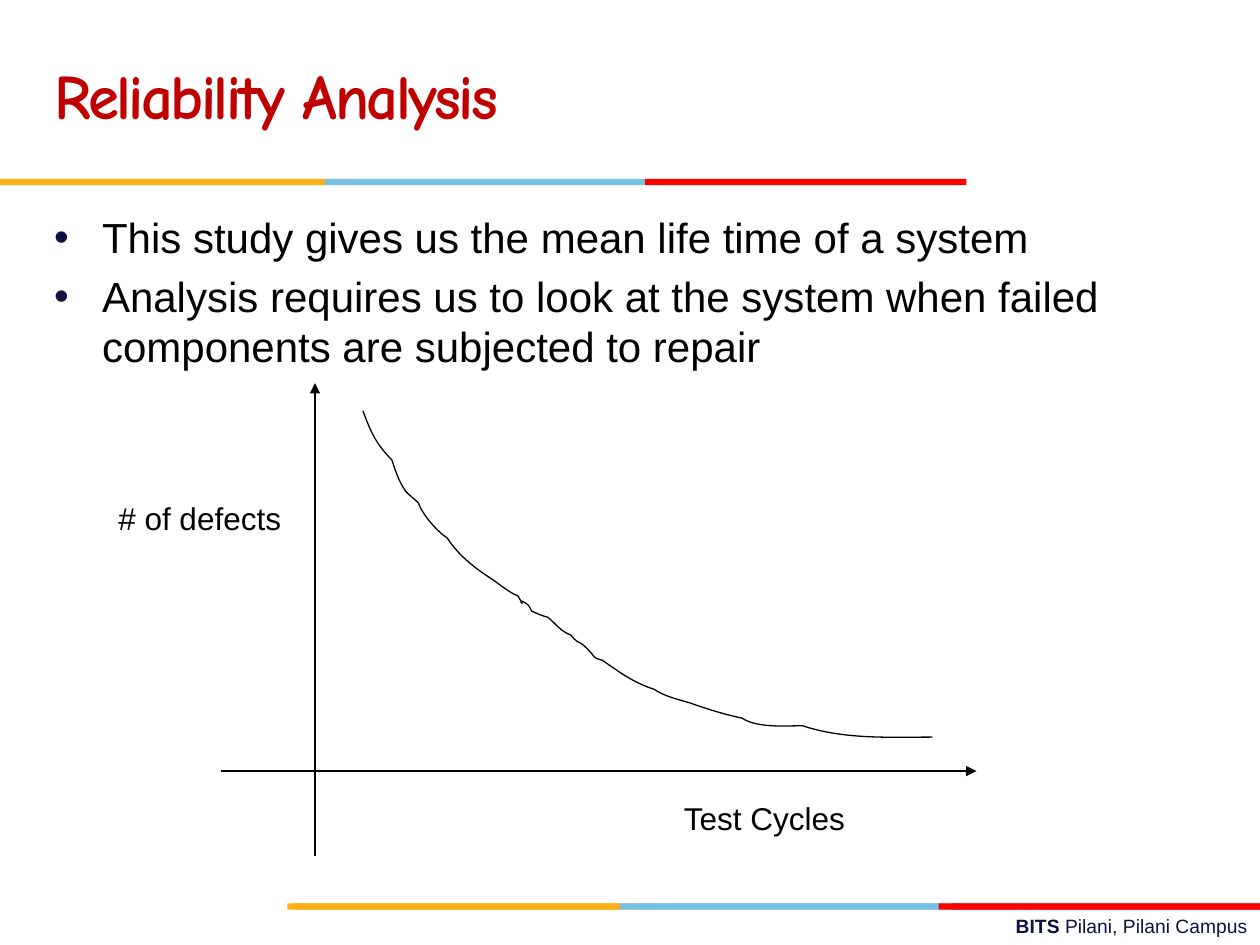
from dataclasses import dataclass

from lxml import etree
from pptx import Presentation
from pptx.dml.color import RGBColor
from pptx.enum.shapes import MSO_CONNECTOR, MSO_SHAPE
from pptx.enum.text import MSO_ANCHOR, MSO_AUTO_SIZE, PP_ALIGN
from pptx.oxml.ns import qn
from pptx.util import Inches, Pt

RECT = MSO_SHAPE.RECTANGLE
LINE = MSO_CONNECTOR.STRAIGHT
LEFT, RIGHT = PP_ALIGN.LEFT, PP_ALIGN.RIGHT
TOP, MIDDLE = MSO_ANCHOR.TOP, MSO_ANCHOR.MIDDLE
FIXED = MSO_AUTO_SIZE.NONE


@dataclass(frozen=True)
class Theme:
    """Colours, fonts and sizes of the slide."""
    black: str = "000000"
    navy: str = "101141"
    title: str = "C00000"
    gold: str = "FCB017"
    sky: str = "76C2E5"
    red: str = "FF0000"
    brick: str = "E31C24"
    face: str = "Arial"
    hand: str = "Comic Neue"
    head: int = 36
    body: int = 24
    label: int = 18
    foot: int = 11
    rule: float = 0.75


THEME = Theme()
TEXT = {"name": THEME.face, "bold": False}

START = (1.13, 0.22)
CURVE = [
    (1.19, 0.38, 1.23, 0.48, 1.36, 0.61), (1.39, 0.7, 1.41, 0.77, 1.47, 0.86),
    (1.5, 0.89, 1.57, 0.95, 1.57, 0.95), (1.6, 1.04, 1.72, 1.18, 1.8, 1.23),
    (1.89, 1.37, 2.02, 1.47, 2.16, 1.56), (2.23, 1.61, 2.29, 1.66, 2.36, 1.69),
    (2.45, 1.83, 2.32, 1.67, 2.44, 1.76), (2.45, 1.77, 2.46, 1.79, 2.47, 1.81),
    (2.51, 1.83, 2.56, 1.85, 2.6, 1.86), (2.67, 1.92, 2.7, 1.97, 2.78, 2),
    (2.8, 2.02, 2.81, 2.04, 2.83, 2.05), (2.85, 2.06, 2.87, 2.07, 2.88, 2.08),
    (3.01, 2.2, 2.93, 2.17, 3.03, 2.2), (3.16, 2.29, 3.28, 2.38, 3.44, 2.43),
    (3.53, 2.49, 3.63, 2.51, 3.73, 2.54), (3.87, 2.59, 4, 2.63, 4.14, 2.66),
    (4.26, 2.74, 4.49, 2.72, 4.62, 2.72), (4.95, 2.83, 5.31, 2.81, 5.65, 2.81),
]


def style(obj, **kinds):
    """Set each given attribute on an object."""
    for key, value in kinds.items():
        setattr(obj, key, value)


def ink(font, color, **kinds):
    """Set the look and colour of a font."""
    style(font, **kinds)
    font.color.rgb = RGBColor.from_string(color)


def place(shape, box):
    """Move a shape to a box in inches."""
    keys = ("left", "top", "width", "height")
    style(shape, **dict(zip(keys, map(Inches, box))))


def indent(para, left, first):
    """Set the left margin and first-line indent of a paragraph."""
    props = para._p.get_or_add_pPr()
    props.set("marL", str(Inches(left)))
    props.set("indent", str(Inches(first)))
    return props


def bullet(para):
    """Give a paragraph a navy round bullet."""
    props = indent(para, 0.38, -0.38)
    tint = etree.SubElement(props, qn("a:buClr"))
    etree.SubElement(tint, qn("a:srgbClr"), val=THEME.navy)
    etree.SubElement(props, qn("a:buFont"), typeface=THEME.face)
    etree.SubElement(props, qn("a:buChar"), char="•")


def heading(slide, box, text):
    """Fill the title placeholder."""
    shape = slide.shapes.title
    place(shape, box)
    frame = shape.text_frame
    style(frame, auto_size=FIXED, vertical_anchor=MIDDLE, word_wrap=True)
    para = frame.paragraphs[0]
    indent(para, 0, 0)
    style(para, alignment=LEFT, line_spacing=Pt(THEME.head))
    run = para.add_run()
    run.text = text
    ink(run.font, THEME.title, name=THEME.hand, size=Pt(THEME.head), bold=True)
    run._r.get_or_add_rPr().set("spc", "-150")


def points(slide, box, items):
    """Fill the body placeholder with a bullet list."""
    shape = slide.placeholders[1]
    place(shape, box)
    frame = shape.text_frame
    frame.text = "\n".join(items)
    style(frame, auto_size=FIXED, vertical_anchor=TOP, word_wrap=True)
    for i, para in enumerate(frame.paragraphs):
        bullet(para)
        para.space_before = Pt(THEME.body * 0.2 if i else 0)
        ink(para.font, THEME.black, size=Pt(THEME.body), **TEXT)


def band(slide, box, parts):
    """Draw coloured bars at offsets along a strip."""
    x, y, _, h = box
    for dx, w, color in parts:
        bar = slide.shapes.add_shape(RECT, *map(Inches, (x + dx, y, w, h)))
        bar.shadow.inherit = False
        bar.fill.solid()
        bar.fill.fore_color.rgb = RGBColor.from_string(color)
        bar.line.fill.background()


def label(slide, box, text):
    """Write an axis label."""
    frame = slide.shapes.add_textbox(*map(Inches, box)).text_frame
    frame.word_wrap = False
    para = frame.paragraphs[0]
    para.text = text
    ink(para.font, THEME.black, size=Pt(THEME.label), **TEXT)


def stroke(line):
    """Set a thin black line."""
    line.color.rgb = RGBColor.from_string(THEME.black)
    line.width = Pt(THEME.rule)


def arrow(slide, *ends):
    """Draw an axis with an arrowhead at its end."""
    axis = slide.shapes.add_connector(LINE, *map(Inches, ends))
    stroke(axis.line)
    props = axis._element.spPr
    etree.SubElement(props.find(qn("a:ln")), qn("a:tailEnd"), type="triangle")
    etree.SubElement(props, qn("a:effectLst"))


def bend(shape, start, arcs):
    """Turn the straight segments of an outline into cubic arcs."""
    for seg, arc in zip(list(shape._element.iter(qn("a:lnTo"))), arcs):
        cubic = etree.Element(qn("a:cubicBezTo"))
        for x, y in zip(arc[::2], arc[1::2]):
            etree.SubElement(cubic, qn("a:pt"), x=str(Inches(x - start[0])),
                             y=str(Inches(y - start[1])))
        seg.getparent().replace(seg, cubic)


def plot(slide, box):
    """Draw the axes, the falling curve and the labels."""
    x, y, w, h = box
    arrow(slide, x + 0.75, y + h, x + 0.75, y)
    arrow(slide, x, y + 3.08, x + w, y + 3.08)
    dots = [(Inches(x + dx), Inches(y + dy))
            for dx, dy in [START] + [arc[4:] for arc in CURVE]]
    pen = slide.shapes.build_freeform(*dots[0])
    pen.add_line_segments(dots[1:], close=False)
    curve = pen.convert_to_shape()
    bend(curve, START, CURVE)
    curve.shadow.inherit = False
    curve.fill.background()
    stroke(curve.line)
    label(slide, (x + 3.58, y + 3.25, 1.51, 0.4), "Test Cycles")
    label(slide, (x - 0.91, y + 0.87, 1.49, 0.4), "# of defects")


def footer(slide, box):
    """Write the campus line at the right."""
    frame = slide.shapes.add_textbox(*map(Inches, box)).text_frame
    frame.word_wrap = True
    para = frame.paragraphs[0]
    para.alignment = RIGHT
    for text, bold in (("BITS ", True), ("Pilani, Pilani Campus", False)):
        run = para.add_run()
        run.text = text
        ink(run.font, THEME.navy, name=THEME.face, size=Pt(THEME.foot), bold=bold)


def main():
    """Build and save the slide."""
    deck = Presentation()
    style(deck, slide_width=Inches(10), slide_height=Inches(7.5))
    slide = deck.slides.add_slide(deck.slide_layouts[1])
    gold, sky, red = THEME.gold, THEME.sky, THEME.red
    footer(slide, (3.58, 7.21, 6.42, 0.29))
    band(slide, (2.28, 7.17, 7.72, 0.05),
         [(2.78, 2.55, sky), (5.28, 2.44, THEME.brick), (0, 2.82, gold)])
    band(slide, (2.33, 7.17, 7.67, 0.05),
         [(2.59, 2.55, sky), (0, 2.58, gold), (5.12, 2.55, red)])
    band(slide, (0, 1.42, 7.67, 0.05),
         [(2.58, 2.55, sky), (0, 2.58, gold), (5.12, 2.55, red)])
    heading(slide, (0.33, 0.17, 6.92, 1.25), "Reliability Analysis")
    points(slide, (0.33, 1.63, 9, 4.95), [
        "This study gives us the mean life time of a system",
        "Analysis requires us to look at the system when failed "
        "components are subjected to repair"])
    plot(slide, (1.75, 3.04, 6, 3.75))
    deck.save("out.pptx")


if __name__ == "__main__":
    main()
